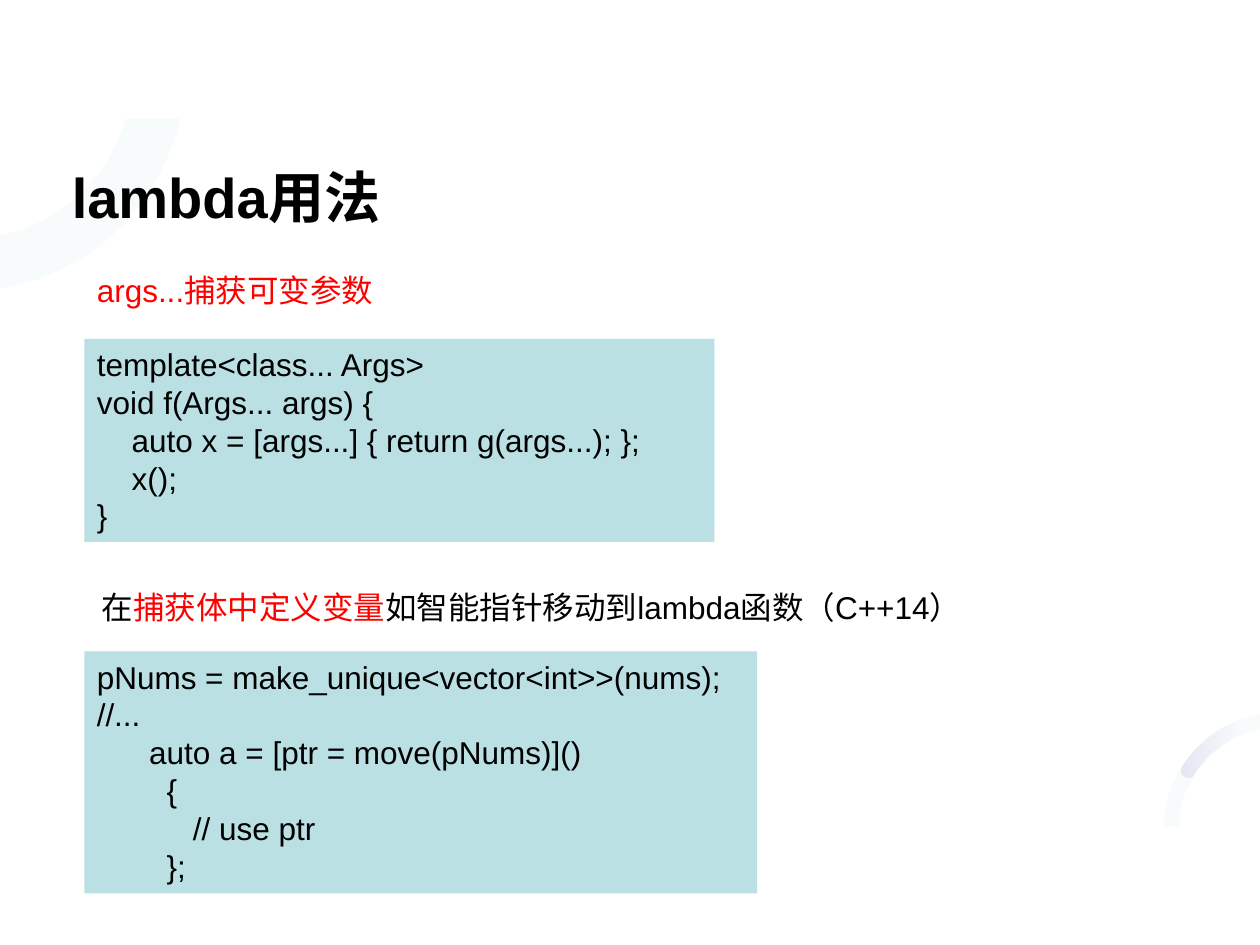
from pptx import Presentation, util as u
from pptx.dml import color as clr
from pptx.enum import shapes, text
from pptx.oxml import ns, xmlchemy as xml

HUES = {"ink": "000000", "red": "FF0000", "teal": "BBE0E3",
        "navy": "333399", "page": "FFFFFF"}

# Outlines are relative to their box: 2 numbers for a line, 6 for a curve.
RING = [(0, .93), (.32, .86, .6, .69, .8, .41), (.89, .28, .96, .14, 1, 0),
        (1.43, 0), (1.38, .22, 1.28, .45, 1.14, .65),
        (.85, 1.04, .44, 1.28, 0, 1.35)]
BAND = [(.76, 0), (.33, .07, 0, .45, 0, .89), (.12, .89),
        (.12, .51, .4, .19, .76, .12)]
TAIL = [(.63, 0), (.63, .12), (.41, .16, .23, .29, .11, .47),
        (.1, .5, .06, .51, .03, .49), (0, .47, 0, .44, .01, .41),
        (.15, .2, .37, .04, .63, 0)]

FIRST = """template<class... Args>
void f(Args... args) {
    auto x = [args...] { return g(args...); };
    x();
}"""
SECOND = """pNums = make_unique<vector<int>>(nums);
//...
      auto a = [ptr = move(pNums)]()
        {
           // use ptr
        };"""


def rgb(name):
    return clr.RGBColor.from_string(HUES[name])


def fade(shape, *levels):
    """Give each colour of the fill its opacity in percent."""
    tints = list(shape._element.spPr.iter(ns.qn("a:srgbClr")))
    for tint, level in zip(tints, levels):
        alpha = xml.OxmlElement("a:alpha")
        alpha.set("val", str(level * 1000))
        tint.append(alpha)


def bend(shape, left, top, outline):
    """Swap straight sides for the cubic curves of the outline."""
    sides = list(shape._element.spPr.iter(ns.qn("a:lnTo")))
    for side, step in zip(sides, outline[1:]):
        if len(step) == 2:
            continue
        curve = xml.OxmlElement("a:cubicBezTo")
        for x, y in zip(step[::2], step[1::2]):
            dot = xml.OxmlElement("a:pt")
            dot.set("x", str(u.Inches(left + x) - shape.left))
            dot.set("y", str(u.Inches(top + y) - shape.top))
            curve.append(dot)
        side.getparent().replace(side, curve)


def add_arc(slide, left, top, outline):
    dots = [(u.Inches(left + step[-2]), u.Inches(top + step[-1]))
            for step in outline]
    pen = slide.shapes.build_freeform(*dots[0])
    pen.add_line_segments(dots[1:])
    arc = pen.convert_to_shape()
    bend(arc, left, top, outline)
    arc.shadow.inherit = False
    arc.line.fill.background()
    arc.fill.solid()
    arc.fill.fore_color.rgb = rgb("teal")
    return arc


def add_decor(slide):
    fade(add_arc(slide, 0, .94, RING), 10)
    fade(add_arc(slide, 9.24, 5.67, BAND), 10)
    tail = add_arc(slide, 9.37, 5.67, TAIL)
    tail.fill.gradient()
    tail.fill.gradient_angle = 359
    for stop, place in zip(tail.fill.gradient_stops, (0, .7)):
        stop.color.rgb = rgb("navy")
        stop.position = place
    fade(tail, 10, 0)


def write(frame, lines, size=18, bold=False, **form):
    """Fill a frame with lines, each a list of (words, colour) runs."""
    frame.word_wrap = True
    for key, value in form.items():
        setattr(frame, key, value)
    for i, runs in enumerate(lines):
        para = frame.add_paragraph() if i else frame.paragraphs[0]
        para.alignment = text.PP_ALIGN.LEFT
        for words, hue in runs:
            run = para.add_run()
            run.text = words
            look = {"name": "Arial", "size": u.Pt(size), "bold": bold}
            for key, value in look.items():
                setattr(run.font, key, value)
            run.font.color.rgb = rgb(hue)


def add_label(slide, box, runs, **form):
    label = slide.shapes.add_textbox(*map(u.Inches, box))
    write(label.text_frame, [runs], **form)


def add_code(slide, box, code):
    panel = slide.shapes.add_shape(shapes.MSO_SHAPE.RECTANGLE, *map(u.Inches, box))
    panel.shadow.inherit = False
    panel.fill.solid()
    panel.fill.fore_color.rgb = rgb("teal")
    panel.line.fill.background()
    write(panel.text_frame, [[(line, "ink")] for line in code.splitlines()],
          vertical_anchor=text.MSO_ANCHOR.TOP)


def main():
    deck = Presentation()
    deck.slide_width, deck.slide_height = u.Inches(10), u.Inches(7.5)
    slide = deck.slides.add_slide(deck.slide_layouts[6])
    slide.background.fill.solid()
    slide.background.fill.fore_color.rgb = rgb("page")
    add_decor(slide)
    flush = dict.fromkeys(
        ("margin_left", "margin_top", "margin_right", "margin_bottom"), 0)
    add_label(slide, (.57, 1.23, 8.86, .59), [("lambda用法", "ink")], size=32,
              bold=True, vertical_anchor=text.MSO_ANCHOR.BOTTOM, **flush)
    add_label(slide, (.67, 2.1, 4.76, .4), [("args...捕获可变参数", "red")])
    add_code(slide, (.67, 2.69, 5, 1.61), FIRST)
    add_label(slide, (.71, 4.62, 7.53, .4),
              [("在", "ink"), ("捕获体中定义变量", "red"),
               ("如智能指针移动到lambda函数（C++14）", "ink")])
    add_code(slide, (.67, 5.17, 5.34, 1.92), SECOND)
    deck.save("out.pptx")


if __name__ == "__main__":
    main()
